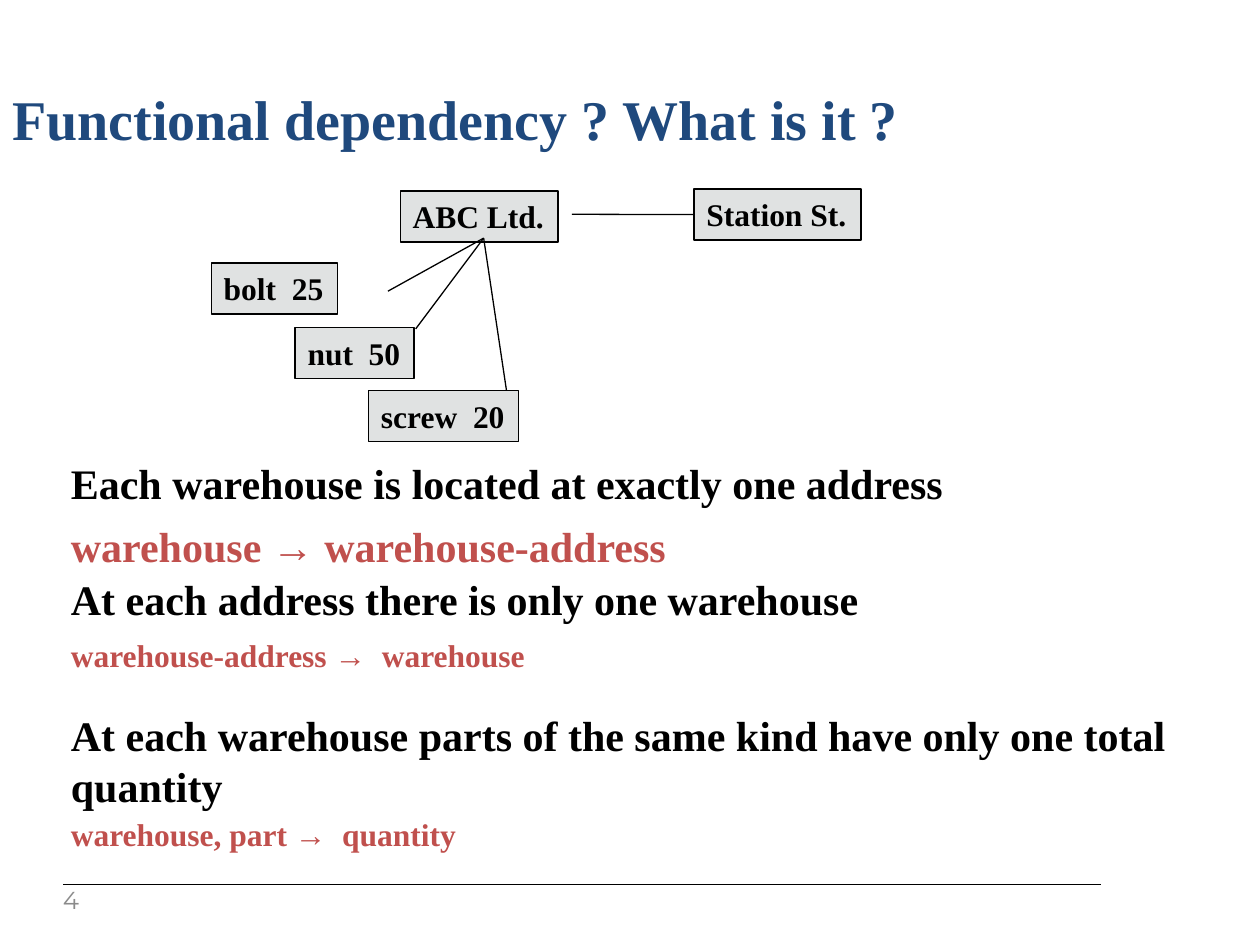
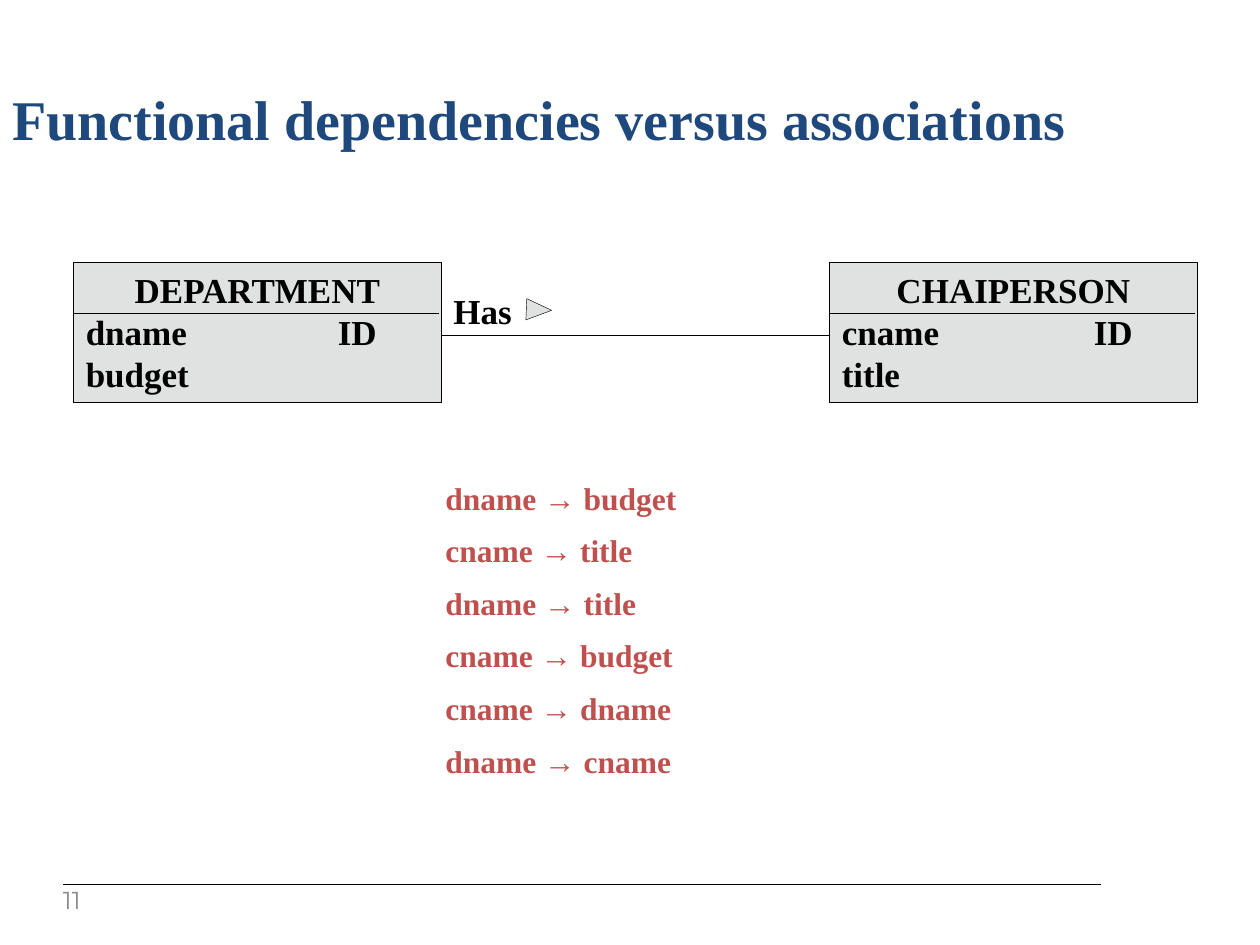
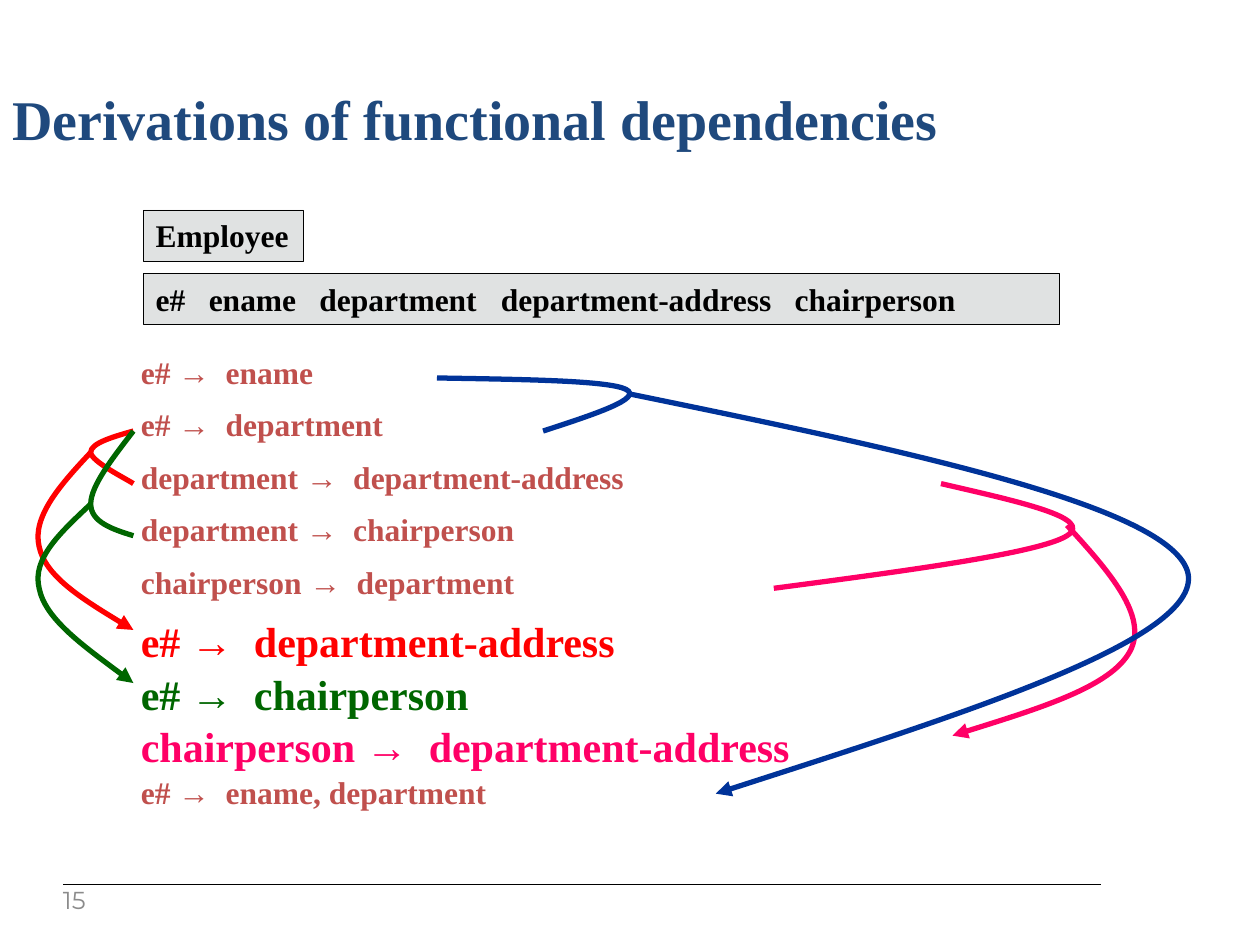
from pptx import Presentation
from pptx.util import Cm, Pt
from pptx.dml.color import RGBColor
from pptx.enum.shapes import MSO_SHAPE as Shape, MSO_CONNECTOR as Link
from pptx.enum.text import PP_ALIGN as Align, MSO_ANCHOR as Anchor
from pptx.oxml.ns import qn
from lxml.etree import SubElement

# Shared look
SERIF, SANS = "Times New Roman", "Montserrat"
BLACK, NAVY, RUST, GREY, PALE = "000000", "1F497D", "C0504D", "8B8B8B", "E0E2E2"
RED, GREEN, PINK, BLUE = "FF0000", "006600", "FF0066", "003399"
PAD = (0.51, 0.13, 0.51, 0.13)
ROW = 1.06

# Slide 4: top, text, size, colour of each rule
RULES = [
    (9.09, "Each warehouse is located at exactly one address", 24, BLACK),
    (10.36, "warehouse → warehouse-address", 24, RUST),
    (11.43, "At each address there is only one warehouse", 24, BLACK),
    (12.7, "warehouse-address →  warehouse", 18, RUST),
    (14.18, "At each warehouse parts of the same kind have only one total quantity",
     24, BLACK),
    (16.31, "warehouse, part →  quantity", 18, RUST),
]
# Left, top, width of each box
STOCK = {
    "ABC Ltd.": (8.07, 3.85, 3.18),
    "nut  50": (5.95, 6.6, 2.4),
    "screw  20": (7.43, 7.87, 3.03),
    "bolt  25": (4.26, 5.3, 2.55),
    "Station St.": (13.99, 3.81, 3.37),
}
HUB = (9.75, 4.8)
SPOKES = [(7.82, 5.87), (8.38, 6.63), (10.21, 7.87)]

# Slide 11: left edge and lines of each class
CLASSES = [
    (1.48, ["DEPARTMENT", "dname\tID", "budget"]),
    (16.72, ["CHAIPERSON", "cname\tID", "title"]),
]
PAIRS = ["dname → budget", "cname → title", "dname → title",
         "cname → budget", "cname → dname", "dname → cname"]

# Slide 15
FIELDS = ["e#", "ename", "department", "department-address", "chairperson"]
STOPS = [1.07, 3.3, 6.96, 12.88]
FACTS = [
    ("e# →  ename", 18, RUST),
    ("e# →  department", 18, RUST),
    ("department →  department-address", 18, RUST),
    ("department →  chairperson", 18, RUST),
    ("chairperson →  department", 18, RUST),
    ("e# →  department-address", 24, RED),
    ("e# →  chairperson", 24, GREEN),
    ("chairperson →  department-address", 24, PINK),
    ("e# →  ename, department", 18, RUST),
]
# Colour, brace that joins two facts, arrow to the derived fact
CURVES = [
    (RED,
     [(2.69, 8.69), (2.26, 8.81), (1.83, 8.94), (1.83, 9.12),
      (1.83, 9.3), (2.54, 9.65), (2.69, 9.75)],
     [(1.83, 9.12), (1.24, 9.75), (0.64, 10.41), (0.79, 11.02),
      (0.91, 11.61), (1.8, 12.17), (2.69, 12.7)]),
    (GREEN,
     [(2.69, 8.69), (2.26, 9.25), (1.83, 9.8), (1.83, 10.16),
      (1.83, 10.52), (2.26, 10.67), (2.69, 10.8)],
     [(1.83, 10.16), (1.24, 10.72), (0.64, 11.25), (0.79, 11.86),
      (0.91, 12.47), (1.8, 13.11), (2.69, 13.77)]),
    (PINK,
     [(15.6, 11.86), (18.26, 11.51), (20.96, 11.15), (21.51, 10.8),
      (22.07, 10.44), (20.52, 10.11), (18.97, 9.75)],
     [(21.51, 10.59), (22.35, 11.51), (23.16, 12.42), (22.78, 13.13),
      (22.4, 13.84), (20.8, 14.33), (19.2, 14.83)]),
    (BLUE,
     [(8.81, 7.62), (10.54, 7.65), (12.27, 7.67), (12.62, 7.85),
      (12.98, 8.03), (11.96, 8.36), (10.95, 8.69)],
     [(12.73, 7.95), (18.19, 9.07), (23.65, 10.21), (23.95, 11.56),
      (24.21, 12.88), (19.3, 14.43), (14.43, 16)]),
]


def tint(code):
    return RGBColor.from_string(code)


def write(shape, lines, size=18, color=BLACK, font=SERIF, bold=True, head=False,
          wrap=True, pad=(0.25, 0.13, 0.25, 0.13), anchor=Anchor.TOP, stops=()):
    """Fill a shape with one paragraph per line; head centres the first."""
    frame = shape.text_frame
    frame.word_wrap = wrap
    frame.vertical_anchor = anchor
    (frame.margin_left, frame.margin_top,
     frame.margin_right, frame.margin_bottom) = map(Cm, pad)
    for i, line in enumerate(lines):
        para = frame.add_paragraph() if i else frame.paragraphs[0]
        para.alignment = Align.CENTER if head and not i else Align.LEFT
        if "\t" in line:
            tabs = SubElement(para._p.get_or_add_pPr(), qn("a:tabLst"))
            for stop in stops:
                SubElement(tabs, qn("a:tab"), pos=str(Cm(stop)), algn="l")
        run = para.add_run()
        run.text = line
        run.font.name, run.font.size, run.font.bold = font, Pt(size), bold
        run.font.color.rgb = tint(color)


def label(slide, text, x, y, w, h, **form):
    write(slide.shapes.add_textbox(Cm(x), Cm(y), Cm(w), Cm(h)), [text], **form)


def fact(slide, text, x, y, w=23.42, h=None, size=18, color=RUST):
    label(slide, text, x, y, w, h or (1.3 if size > 18 else 1.02),
          size=size, color=color, pad=PAD)


def box(slide, x, y, w, h=1.03, kind=Shape.RECTANGLE, edge=0.75):
    shape = slide.shapes.add_shape(kind, Cm(x), Cm(y), Cm(w), Cm(h))
    shape.shadow.inherit = False
    shape.fill.solid()
    shape.fill.fore_color.rgb = tint(PALE)
    shape.line.color.rgb = tint(BLACK)
    shape.line.width = Pt(edge)
    return shape


def rule(slide, start, end):
    line = slide.shapes.add_connector(Link.STRAIGHT, *map(Cm, start + end))
    line.line.color.rgb = tint(BLACK)
    line.line.width = Pt(0.75)
    SubElement(line._element.spPr, qn("a:effectLst"))
    return line


def curve(slide, knots, color, arrow=False):
    """Draw a chain of cubic Bezier arcs as one open outline."""
    pen = slide.shapes.build_freeform(*map(Cm, knots[0]))
    pen.add_line_segments([(Cm(x), Cm(y)) for x, y in knots[1:]], close=False)
    shape = pen.convert_to_shape()
    # Each three straight steps become one arc
    steps = list(shape._element.iter(qn("a:lnTo")))
    for i in range(0, len(steps), 3):
        home = steps[i].getparent()
        arc = SubElement(home, qn("a:cubicBezTo"))
        for step in steps[i:i + 3]:
            arc.append(step[0])
            home.remove(step)
    shape.shadow.inherit = False
    shape.fill.background()
    shape.line.color.rgb = tint(color)
    shape.line.width = Pt(3)
    if arrow:
        SubElement(shape.line._get_or_add_ln(), qn("a:tailEnd"), type="triangle")


def page(deck, title, number):
    """Add a slide with the shared title, foot line and number."""
    slide = deck.slides.add_slide(deck.slide_layouts[6])
    rule(slide, (1.27, 17.83), (22.2, 17.83))
    label(slide, title, 0, 1.57, 25.4, 1.7, size=32, color=NAVY)
    label(slide, str(number), 1.27, 17.93, 1.02, 0.53, size=14, color=GREY,
          font=SANS, bold=False, pad=(0, 0, 0.25, 0.13), anchor=Anchor.MIDDLE)
    return slide


def stock(deck):
    slide = page(deck, "Functional dependency ? What is it ?", 4)
    for top, text, size, color in RULES:
        tall = 2.31 if len(text) > 60 else None
        fact(slide, text, 0.92, top, h=tall, size=size, color=color)
    boxes = {}
    for text, place in STOCK.items():
        boxes[text] = box(slide, *place)
        write(boxes[text], [text], wrap=False)
    for end in SPOKES:
        rule(slide, HUB, end)
    rule(slide, (11.53, 4.32), (13.99, 4.32)).end_connect(boxes["Station St."], 1)


def classes(deck):
    slide = page(deck, "Functional dependencies versus associations", 11)
    for i, text in enumerate(PAIRS):
        fact(slide, text, 8.47, 9.52 + i * ROW, w=9.96)
    for left, lines in CLASSES:
        write(box(slide, left, 5.29, 7.42, 2.82), lines,
              size=20, head=True, stops=[5.08])
        rule(slide, (left, 6.32), (left + 7.37, 6.32))
    # Association between the two classes
    rule(slide, (8.89, 6.77), (16.72, 6.77))
    label(slide, "Has", 8.89, 5.71, 2.11, 1.09, size=20)
    box(slide, 10.65, 5.99, 0.43, 0.51, Shape.ISOSCELES_TRIANGLE, 0.25).rotation = 92.4


def derive(deck):
    slide = page(deck, "Derivations of functional dependencies", 15)
    write(box(slide, 2.89, 4.23, 3.23, edge=0.25), ["Employee"], wrap=False)
    write(box(slide, 2.89, 5.51, 18.47, edge=0.25), ["\t".join(FIELDS)], stops=STOPS)
    for i, (text, size, color) in enumerate(FACTS):
        fact(slide, text, 2.33, 6.98 + i * ROW, size=size, color=color)
    for color, brace, arrow in CURVES:
        curve(slide, brace, color)
        curve(slide, arrow, color, arrow=True)


def main():
    deck = Presentation()
    deck.slide_width, deck.slide_height = Cm(25.4), Cm(19.05)
    for build in (stock, classes, derive):
        build(deck)
    deck.save("out.pptx")


if __name__ == "__main__":
    main()
